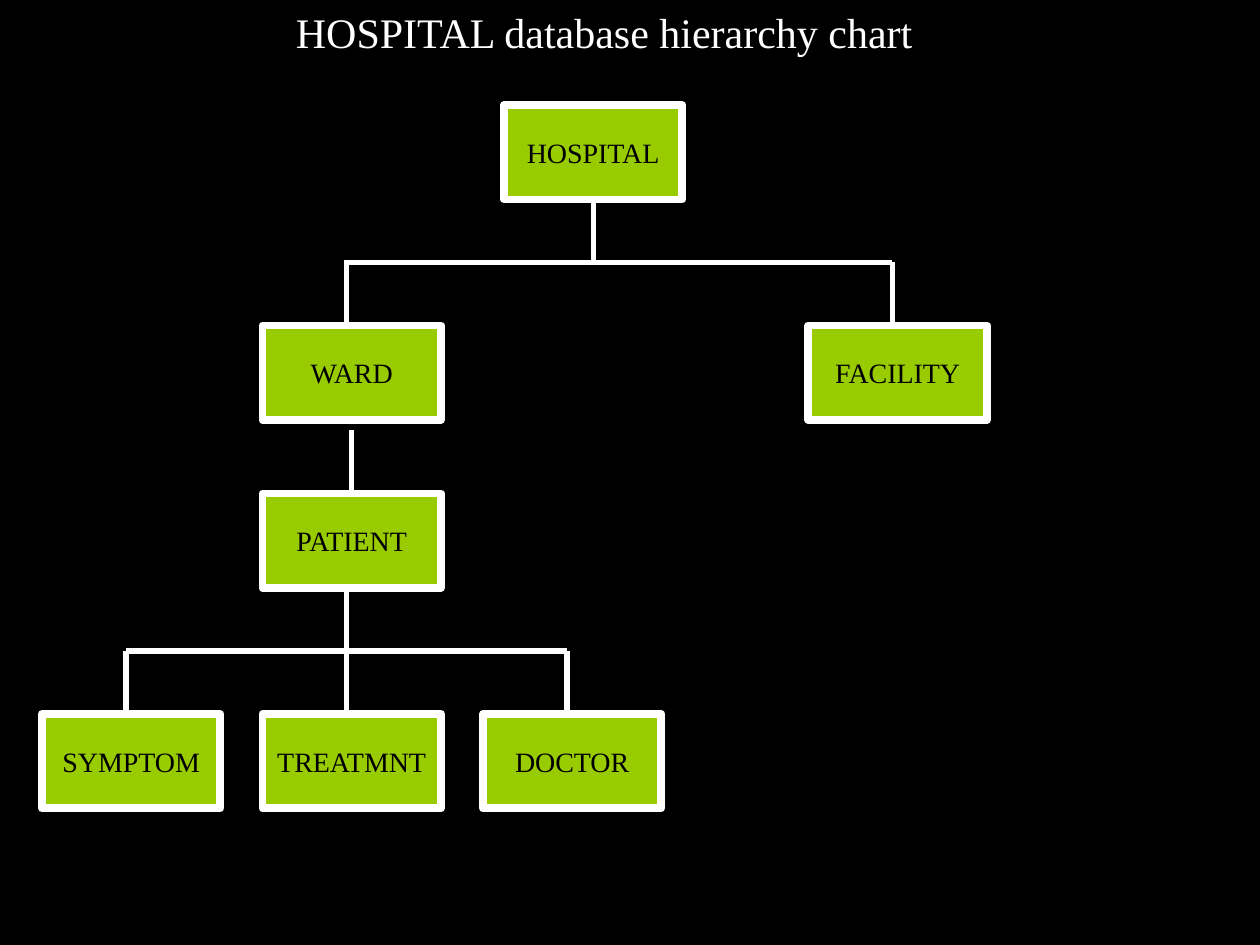
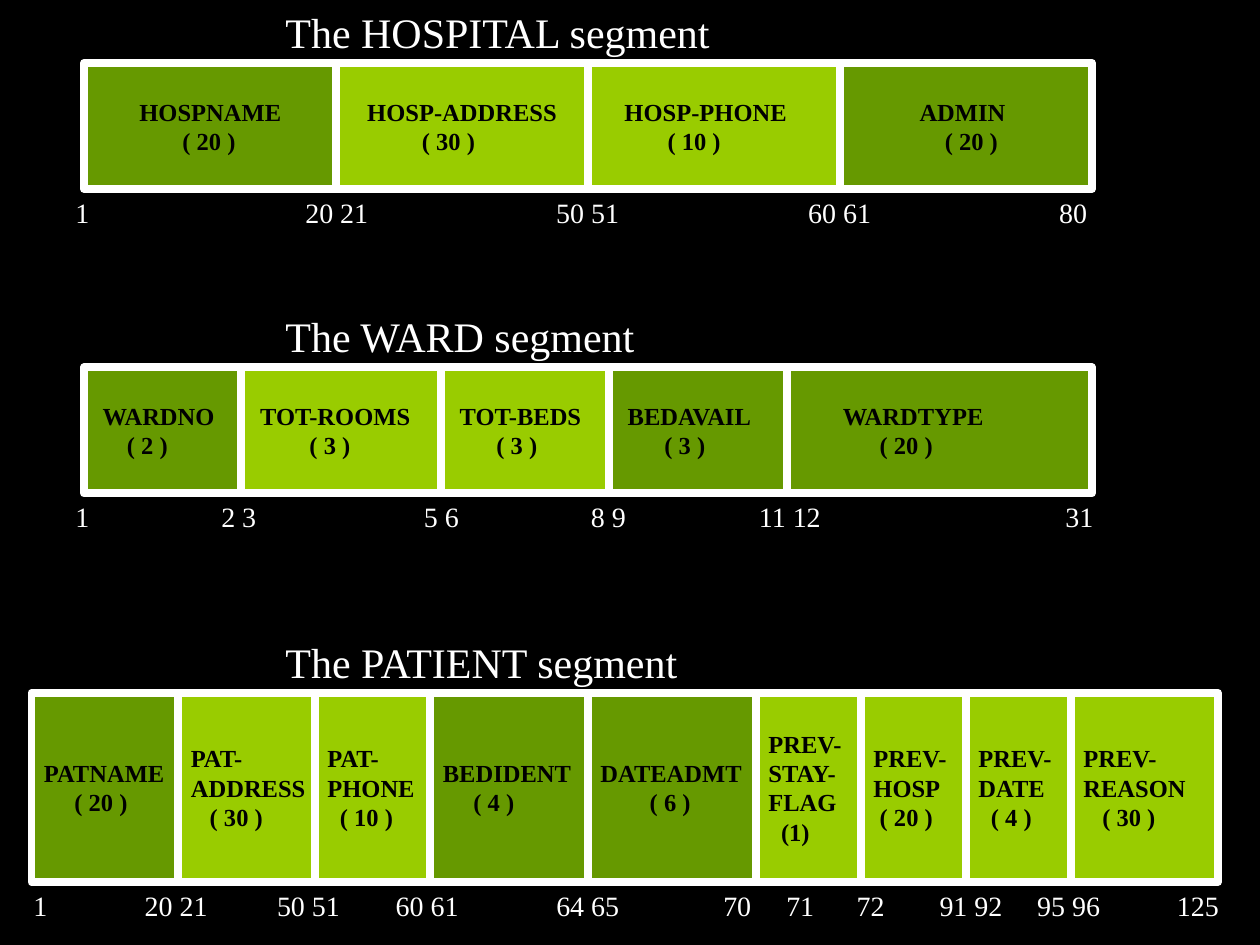
"""Build two slides on a hospital database: its hierarchy and its segment layouts."""
import dataclasses

import lxml.etree
import pptx
import pptx.dml.color
import pptx.enum.shapes
import pptx.enum.text
import pptx.oxml.ns
import pptx.util

EMU_PER_PX = 7620


@dataclasses.dataclass(frozen=True)
class Theme:
    font: str = "Times New Roman"
    background: str = "000000"
    ink: str = "000000"
    white: str = "FFFFFF"
    lime: str = "99CC00"
    moss: str = "669900"
    title_size: int = 24
    label_size: int = 16
    field_size: int = 14
    border: float = 4.5
    link: float = 3


THEME = Theme()
BOX_WIDTH, BOX_HEIGHT = 170, 90
NODES = {
    "HOSPITAL": (480, 100),
    "WARD": (250, 310),
    "FACILITY": (770, 310),
    "PATIENT": (250, 470),
    "SYMPTOM": (40, 680),
    "TREATMNT": (250, 680),
    "DOCTOR": (460, 680),
}
LINKS = [
    ((565, 190), (565, 250), "HOSPITAL", None),
    ((328, 250), (850, 250), None, None),
    ((330, 250), (330, 310), None, None),
    ((850, 250), (850, 310), None, None),
    ((335, 410), (335, 470), None, "PATIENT"),
    ((330, 560), (330, 620), None, None),
    ((120, 620), (540, 620), None, None),
    *[((x, 620), (x, 680), None, None) for x in (120, 330, 540)],
]


@dataclasses.dataclass(frozen=True)
class Field:
    width: int
    fill: str
    name: str
    name_indent: int
    length: str
    length_indent: int


@dataclasses.dataclass(frozen=True)
class Segment:
    title: str
    left: int
    top: int
    height: int
    fields: tuple
    ruler_left: int
    ruler_width: int
    marks: tuple
    tabs: tuple


SEGMENTS = [
    Segment(
        "The HOSPITAL segment", 80, 60, 120,
        (
            Field(240, THEME.moss, "HOSPNAME", 41, "( 20 )", 82),
            Field(240, THEME.lime, "HOSP-ADDRESS", 18, "( 30 )", 70),
            Field(240, THEME.lime, "HOSP-PHONE", 23, "( 10 )", 64),
            Field(240, THEME.moss, "ADMIN", 64, "( 20 )", 88),
        ),
        60, 1010,
        ("1", "20 21", "50 51", "60 61", "80"),
        (219, 458, 698, 937),
    ),
    Segment(
        "The WARD segment", 80, 350, 120,
        (
            Field(150, THEME.moss, "WARDNO", 6, "( 2 )", 29),
            Field(190, THEME.lime, "TOT-ROOMS", 6, "( 3 )", 53),
            Field(160, THEME.lime, "TOT-BEDS", 6, "( 3 )", 41),
            Field(170, THEME.moss, "BEDAVAIL", 6, "( 3 )", 41),
            Field(290, THEME.moss, "WARDTYPE", 41, "( 20 )", 76),
        ),
        60, 1010,
        ("1", "2 3", "5 6", "8 9", "11 12", "31"),
        (139, 332, 491, 651, 943),
    ),
    Segment(
        "The PATIENT segment", 30, 660, 180,
        (
            Field(140, THEME.moss, "PATNAME", 0, "( 20 )", 29),
            Field(130, THEME.lime, "PAT-\nADDRESS", 0, "( 30 )", 18),
            Field(110, THEME.lime, "PAT-\nPHONE", 0, "( 10 )", 12),
            Field(150, THEME.moss, "BEDIDENT", 0, "( 4 )", 29),
            Field(160, THEME.moss, "DATEADMT", 0, "( 6 )", 47),
            Field(100, THEME.lime, "PREV-\nSTAY-\nFLAG", 0, "(1)", 12),
            Field(100, THEME.lime, "PREV-\nHOSP", 0, "( 20 )", 6),
            Field(100, THEME.lime, "PREV-\nDATE", 0, "( 4 )", 12),
            Field(140, THEME.lime, "PREV-\nREASON", 0, "( 30 )", 18),
        ),
        20, 1180,
        ("1", "20 21", "50 51", "60 61", "64 65", "70", "71", "72",
         "91 92", "95 96", "125"),
        (106, 232, 345, 498, 657, 717, 784, 863, 956, 1089),
    ),
]


def px(*lengths):
    return [pptx.util.Emu(length * EMU_PER_PX) for length in lengths]


def rgb(value):
    return pptx.dml.color.RGBColor.from_string(value)


def apply_format(target, values):
    for name, value in values.items():
        setattr(target, name, value)


def write_line(para, text, size, color, bold=False):
    span = para.add_run()
    span.text = text
    apply_format(span.font, {
        "name": THEME.font, "size": pptx.util.Pt(size), "bold": bold,
    })
    span.font.color.rgb = rgb(color)


def set_line(line, width):
    line.color.rgb = rgb(THEME.white)
    line.width = pptx.util.Pt(width)


def add_box(page, left, top, width, height, fill):
    box = page.shapes.add_shape(
        pptx.enum.shapes.MSO_SHAPE.RECTANGLE, *px(left, top, width, height))
    box.shadow.inherit = False
    box.fill.solid()
    box.fill.fore_color.rgb = rgb(fill)
    set_line(box.line, THEME.border)
    apply_format(box.text_frame, {
        "word_wrap": False,
        "vertical_anchor": pptx.enum.text.MSO_ANCHOR.MIDDLE,
    })
    return box


def add_node(page, name, left, top):
    box = add_box(page, left, top, BOX_WIDTH, BOX_HEIGHT, THEME.lime)
    para = box.text_frame.paragraphs[0]
    para.alignment = pptx.enum.text.PP_ALIGN.CENTER
    write_line(para, name, THEME.label_size, THEME.ink)
    return box


def add_link(page, start, end, parent=None, child=None):
    link = page.shapes.add_connector(
        pptx.enum.shapes.MSO_CONNECTOR.STRAIGHT, *px(*start, *end))
    set_line(link.line, THEME.link)
    lxml.etree.SubElement(
        link._element.spPr, pptx.oxml.ns.qn("a:effectLst"))
    if parent is not None:
        link.begin_connect(parent, 2)
    if child is not None:
        link.end_connect(child, 0)


def add_caption(page, text, left, top, width, height, size, space):
    box = page.shapes.add_textbox(*px(left, top, width, height))
    apply_format(box.text_frame, {
        "word_wrap": True,
        "auto_size": pptx.enum.text.MSO_AUTO_SIZE.SHAPE_TO_FIT_TEXT,
    })
    para = box.text_frame.paragraphs[0]
    para.space_before = pptx.util.Pt(space)
    write_line(para, text, size, THEME.white)
    return para


def add_title(page, text, left, top, width):
    add_caption(page, text, left, top, width, 60, THEME.title_size, 15)


def add_ruler(page, segment):
    para = add_caption(
        page, "\t".join(segment.marks), segment.ruler_left,
        segment.top + segment.height, segment.ruler_width, 44,
        THEME.label_size, 10)
    qn = pptx.oxml.ns.qn
    stops = lxml.etree.SubElement(
        para._p.get_or_add_pPr(), qn("a:tabLst"))
    for position in px(*segment.tabs):
        lxml.etree.SubElement(
            stops, qn("a:tab"), pos=str(position), algn="l")


def add_field(page, field, left, top, height):
    box = add_box(page, left, top, field.width, height, field.fill)
    lines = [(name, field.name_indent) for name in field.name.split("\n")]
    lines.append((field.length, field.length_indent))
    for index, (text, indent) in enumerate(lines):
        frame = box.text_frame
        para = frame.add_paragraph() if index else frame.paragraphs[0]
        para.alignment = pptx.enum.text.PP_ALIGN.LEFT
        para._p.get_or_add_pPr().set("marL", str(px(indent)[0]))
        write_line(para, text, THEME.field_size, THEME.ink, bold=True)


def add_segment(page, segment):
    add_title(page, segment.title, 260, segment.top - 60, 450)
    left = segment.left
    for field in segment.fields:
        add_field(page, field, left, segment.top, segment.height)
        left += field.width
    add_ruler(page, segment)


def add_page(deck):
    page = deck.slides.add_slide(deck.slide_layouts[6])
    page.background.fill.solid()
    page.background.fill.fore_color.rgb = rgb(THEME.background)
    return page


def build_hierarchy(deck):
    page = add_page(deck)
    add_title(page, "HOSPITAL database hierarchy chart", 270, 0, 720)
    boxes = {name: add_node(page, name, *place)
             for name, place in NODES.items()}
    for start, end, parent, child in LINKS:
        add_link(page, start, end, boxes.get(parent), boxes.get(child))


def build_segments(deck):
    page = add_page(deck)
    for segment in SEGMENTS:
        add_segment(page, segment)


def main():
    deck = pptx.Presentation()
    width, height = px(1200, 900)
    apply_format(deck, {"slide_width": width, "slide_height": height})
    build_hierarchy(deck)
    build_segments(deck)
    deck.save("out.pptx")


if __name__ == "__main__":
    main()
